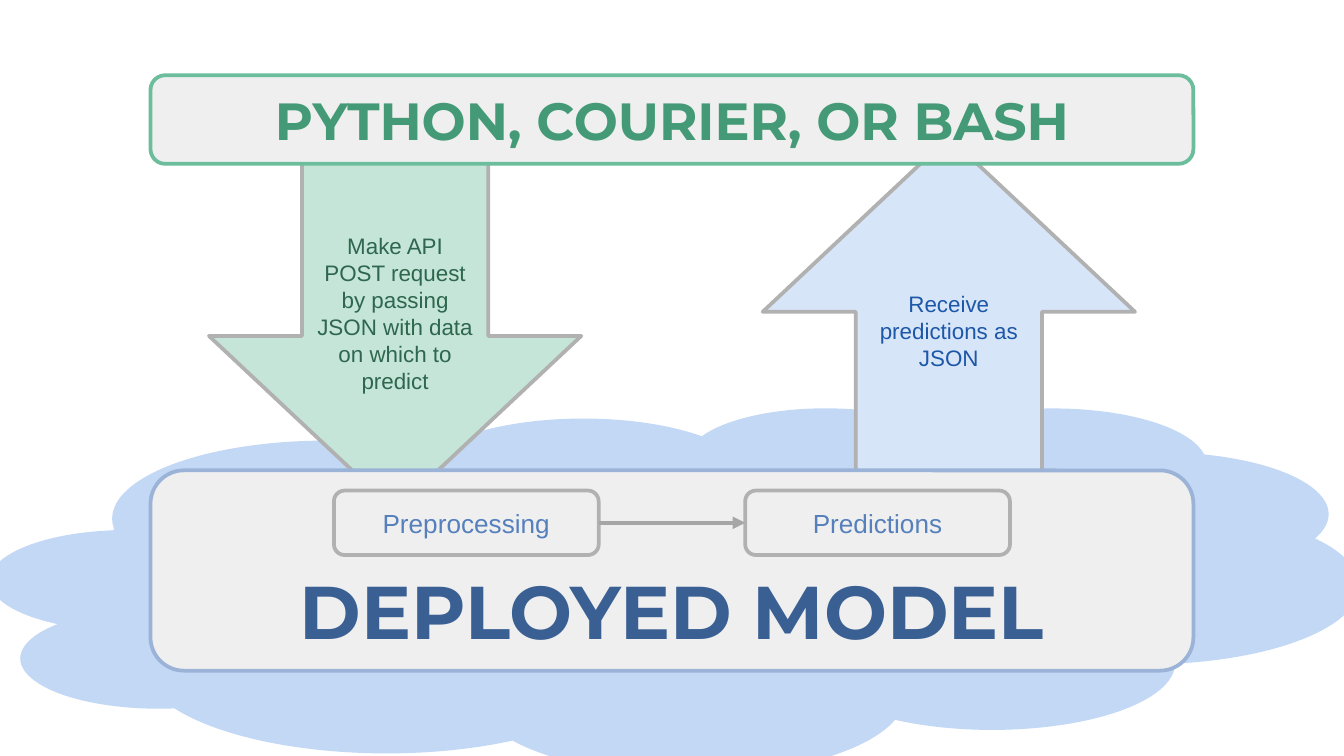
from lxml import etree
from pptx import Presentation
from pptx import util as u
from pptx.dml.color import RGBColor
from pptx.enum import shapes, text
from pptx.oxml.ns import qn

WIDTH = 10
HEIGHT = WIDTH * 9 / 16
MIDDLE = WIDTH / 2
ARROW_OFFSET = 2.06  # arrow centres, left and right of the middle
STEP_OFFSET = 1.53   # step centres, left and right of the middle
GREY, PANEL = "B1B1B1", "EFEFEF"
SHAPE = shapes.MSO_SHAPE
ANCHOR = text.MSO_ANCHOR


def color(value):
    return RGBColor.from_string(value)


def frame(center, top, width, height):
    """Position and size of an item centred on a vertical axis."""
    return [u.Inches(n) for n in (center - width / 2, top, width, height)]


def write(sp, words, size=12, font="Arial", fill="000000", bold=False,
          anchor=ANCHOR.MIDDLE):
    tf = sp.text_frame
    tf.word_wrap = True
    tf.vertical_anchor = anchor
    p = tf.paragraphs[0]
    p.alignment = text.PP_ALIGN.CENTER
    r = p.add_run()
    r.text = words
    r.font.size = u.Pt(size)
    r.font.name = font
    r.font.bold = bold
    r.font.color.rgb = color(fill)


def add_block(s, kind, box, fill, line=None):
    sp = s.shapes.add_shape(kind, *box)
    sp.shadow.inherit = False
    sp.fill.solid()
    sp.fill.fore_color.rgb = color(fill)
    if line:
        sp.line.color.rgb = color(line)
        sp.line.width = u.Pt(2)
    else:
        sp.line.fill.background()
    return sp


def add_label(s, box, words, **style):
    sp = s.shapes.add_textbox(*box)
    write(sp, words, anchor=ANCHOR.TOP, **style)


def add_step(s, center, words):
    sp = add_block(s, SHAPE.ROUNDED_RECTANGLE,
                   frame(center, 3.65, 1.97, 0.48), PANEL, GREY)
    write(sp, words, size=14, fill="5680BC")
    return sp


def join(s, start, end):
    """Arrow from the right side of one step to the left side of the next."""
    c = s.shapes.add_connector(shapes.MSO_CONNECTOR.STRAIGHT, 0, 0, 0, 0)
    c.begin_connect(start, 3)
    c.end_connect(end, 1)
    c.line.color.rgb = color("A6A6A6")
    c.line.width = u.Pt(2.25)
    line = c._element.spPr.find(qn("a:ln"))
    etree.SubElement(line, qn("a:tailEnd"), type="triangle")
    etree.SubElement(c._element.spPr, qn("a:effectLst"))


def main():
    prs = Presentation()
    prs.slide_width, prs.slide_height = u.Inches(WIDTH), u.Inches(HEIGHT)
    s = prs.slides.add_slide(prs.slide_layouts[6])
    left, right = MIDDLE - ARROW_OFFSET, MIDDLE + ARROW_OFFSET

    # Cloud behind everything
    add_block(s, SHAPE.CLOUD, frame(5.02, 3.03, 10.18, 2.73), "C3D8F5")

    # Request and response arrows, tucked under the panels
    add_block(s, SHAPE.DOWN_ARROW, frame(left, 1.2, 2.77, 2.6), "C4E5D7", GREY)
    response = add_block(s, SHAPE.DOWN_ARROW, frame(right, 1.02, 2.77, 2.6),
                         "D7E5F8", GREY)
    response.rotation = 180

    # Client and model panels
    client = add_block(s, SHAPE.ROUNDED_RECTANGLE,
                       frame(MIDDLE, 0.56, 7.76, 0.66), PANEL, "6BBD9B")
    write(client, "PYTHON, COURIER, OR BASH", size=28, font="Montserrat",
          fill="449A76", bold=True)
    model = add_block(s, SHAPE.ROUNDED_RECTANGLE,
                      frame(MIDDLE, 3.5, 7.76, 1.49), PANEL, "9AB3D7")
    write(model, "DEPLOYED MODEL", size=40, font="Montserrat",
          fill="3A5F93", bold=True, anchor=ANCHOR.BOTTOM)

    # Arrow labels
    add_label(s, frame(left, 1.68, 1.39, 1.31),
              "Make API POST request by passing JSON with data "
              "on which to predict", fill="2E664F")
    add_label(s, frame(right, 2.11, 1.39, 0.71),
              "Receive predictions as JSON", fill="1D57A8")

    # Steps inside the model
    preprocessing = add_step(s, MIDDLE - STEP_OFFSET, "Preprocessing")
    predictions = add_step(s, MIDDLE + STEP_OFFSET, "Predictions")
    join(s, preprocessing, predictions)

    prs.save("out.pptx")


if __name__ == "__main__":
    main()
